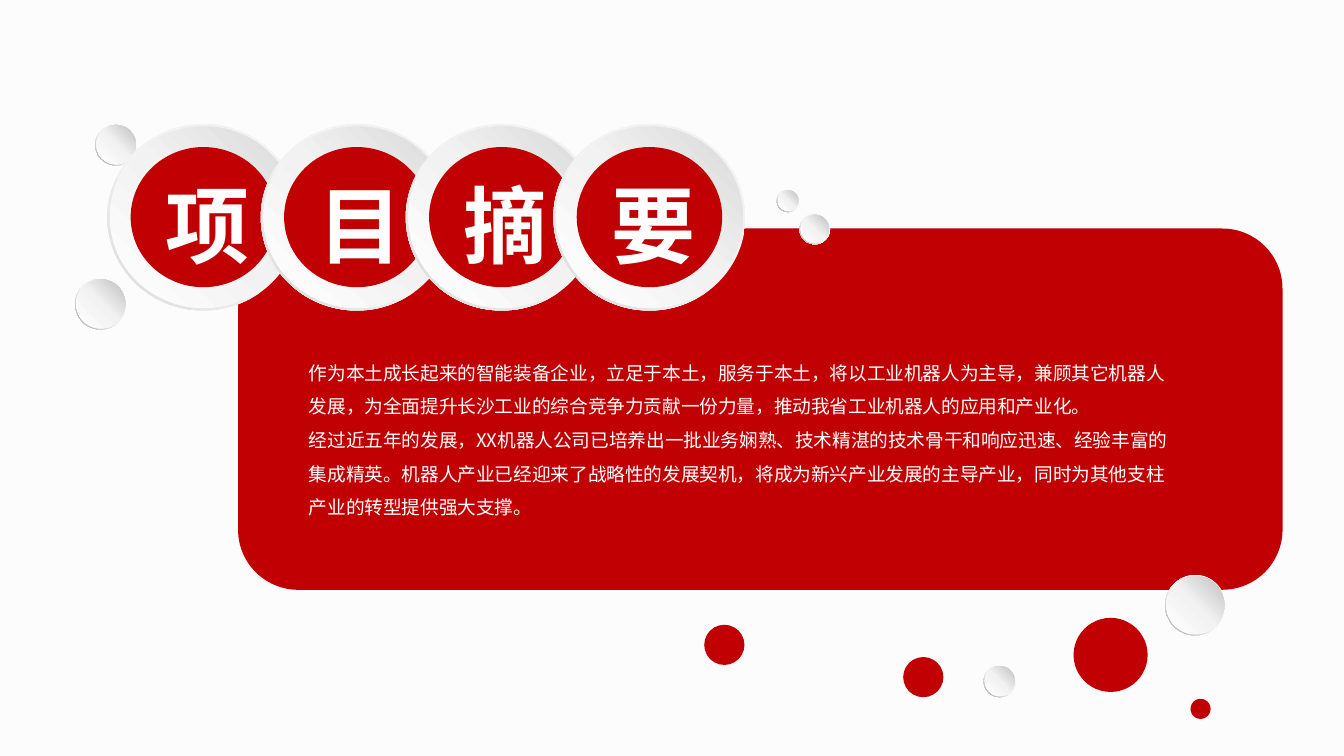
from copy import deepcopy
from dataclasses import dataclass

from lxml import etree
from pptx import Presentation
from pptx.dml.color import RGBColor
from pptx.enum.shapes import MSO_SHAPE
from pptx.enum.text import MSO_AUTO_SIZE
from pptx.oxml.ns import qn
from pptx.util import Cm, Pt

DONUT = MSO_SHAPE.DONUT
OVAL = MSO_SHAPE.OVAL
ROUNDED = MSO_SHAPE.ROUNDED_RECTANGLE
BLANK_LAYOUT = 6


@dataclass(frozen=True)
class Theme:
    font: str = "Noto Sans CJK SC"
    title_size: int = 45
    body_size: int = 10
    background: str = "FCFCFC"
    red: str = "C00002"
    white: str = "FFFFFF"
    # Gradients: stops as (position, colour), then the counter-clockwise angle
    bead_rim: tuple = (((0, "FFFFFF"), (0.55, "F2F2F2"), (1, "A6A6A6")), 225)
    bead_face: tuple = (((0, "FFFFFF"), (0.51, "F2F2F2"), (1, "BFBFBF")), 45)
    badge_rim: tuple = (((0, "F2F2F2"), (0.55, "F2F2F2"), (1, "D9D9D9")), 225)
    badge_face: tuple = (((0, "FFFFFF"), (0.51, "F2F2F2"), (1, "D9D9D9")), 45)


THEME = Theme()

PARAGRAPHS = (
    "作为本土成长起来的智能装备企业，立足于本土，服务于本土，将以工业机器人为主导，"
    "兼顾其它机器人发展，为全面提升长沙工业的综合竞争力贡献一份力量，"
    "推动我省工业机器人的应用和产业化。",
    "经过近五年的发展，XX机器人公司已培养出一批业务娴熟、技术精湛的技术骨干和响应迅速、"
    "经验丰富的集成精英。机器人产业已经迎来了战略性的发展契机，"
    "将成为新兴产业发展的主导产业，同时为其他支柱产业的转型提供强大支撑。",
)
# Left, top and diameter in cm
BEADS = (
    (14.68, 3.58, 0.43), (15.11, 4.04, 0.58), (18.59, 12.57, 0.61),
    (1.8, 2.34, 0.79), (22.02, 10.87, 1.14), (1.42, 5.26, 0.97),
)
DOTS = (
    (20.29, 11.68, 1.4), (13.31, 11.81, 0.76),
    (17.07, 12.42, 0.76), (22.5, 13.21, 0.38),
)
BADGES = ((2.03, "项"), (4.93, "目"), (7.67, "摘"), (10.46, "要"))
BADGE_TOP, BADGE_W, BADGE_H = 2.34, 3.63, 3.53


def fill_gradient(sp, gradient):
    stops, angle = gradient
    sp.fill.gradient()
    sp.fill.gradient_angle = angle
    stop_list = next(sp._element.spPr.iter(qn("a:gsLst")))
    stop_list.append(deepcopy(stop_list[0]))
    for stop, (position, colour) in zip(sp.fill.gradient_stops, stops):
        stop.position = position
        stop.color.rgb = RGBColor.from_string(colour)


def add_shape(shapes, kind, x, y, w, h, fill):
    """Add a borderless shape; fill is a colour or a theme gradient."""
    sp = shapes.add_shape(kind, Cm(x), Cm(y), Cm(w), Cm(h))
    sp.shadow.inherit = False
    sp.line.fill.background()
    if isinstance(fill, str):
        sp.fill.solid()
        sp.fill.fore_color.rgb = RGBColor.from_string(fill)
    else:
        fill_gradient(sp, fill)
    return sp


def add_inset_oval(shapes, x, y, w, h, inset, fill):
    add_shape(shapes, OVAL, x + inset, y + inset,
              w - 2 * inset, h - 2 * inset, fill)


def add_rimmed_oval(shapes, x, y, w, h, inset, rim, face):
    ring = add_shape(shapes, DONUT, x, y, w, h, rim)
    ring.adjustments[0] = 0.049
    add_inset_oval(shapes, x, y, w, h, inset, face)


def add_text(shapes, x, y, w, h, paragraphs, size, bold=False, spacing=1.0):
    tf = shapes.add_textbox(Cm(x), Cm(y), Cm(w), Cm(h)).text_frame
    tf.word_wrap = True
    tf.auto_size = MSO_AUTO_SIZE.SHAPE_TO_FIT_TEXT
    tf.text = "\n".join(paragraphs)
    for p in tf.paragraphs:
        p.line_spacing = spacing
        p.font.size = Pt(size)
        p.font.bold = bold
        p.font.color.rgb = RGBColor.from_string(THEME.white)
        p.font.name = THEME.font
        east_asian = etree.Element(qn("a:ea"), typeface=THEME.font)
        next(p._p.iter(qn("a:latin"))).addnext(east_asian)


def add_bead(slide, x, y, d):
    shapes = slide.shapes.add_group_shape().shapes
    add_rimmed_oval(shapes, x, y, d, d, 0.02, THEME.bead_rim, THEME.bead_face)


def add_badge(slide, x, character):
    shapes = slide.shapes.add_group_shape().shapes
    frame = (x, BADGE_TOP, BADGE_W, BADGE_H)
    add_rimmed_oval(shapes, *frame, 0.05, THEME.badge_rim, THEME.badge_face)
    add_inset_oval(shapes, *frame, 0.44, THEME.red)
    add_text(shapes, x + 0.84, BADGE_TOP + 0.81, 2.64, 2.18,
             [character], THEME.title_size, bold=True)


def main():
    prs = Presentation()
    prs.slide_width, prs.slide_height = Cm(25.4), Cm(14.29)
    slide = prs.slides.add_slide(prs.slide_layouts[BLANK_LAYOUT])
    background = slide.background.fill
    background.solid()
    background.fore_color.rgb = RGBColor.from_string(THEME.background)

    add_shape(slide.shapes, ROUNDED, 4.5, 4.32, 19.74, 6.83, THEME.red)
    add_text(slide.shapes, 5.59, 6.5, 16.76, 3.45, PARAGRAPHS,
             THEME.body_size, spacing=1.5)
    for x, y, d in DOTS:
        add_shape(slide.shapes, OVAL, x, y, d, d, THEME.red)
    for bead in BEADS:
        add_bead(slide, *bead)
    for badge in BADGES:
        add_badge(slide, *badge)
    prs.save("out.pptx")


if __name__ == "__main__":
    main()
